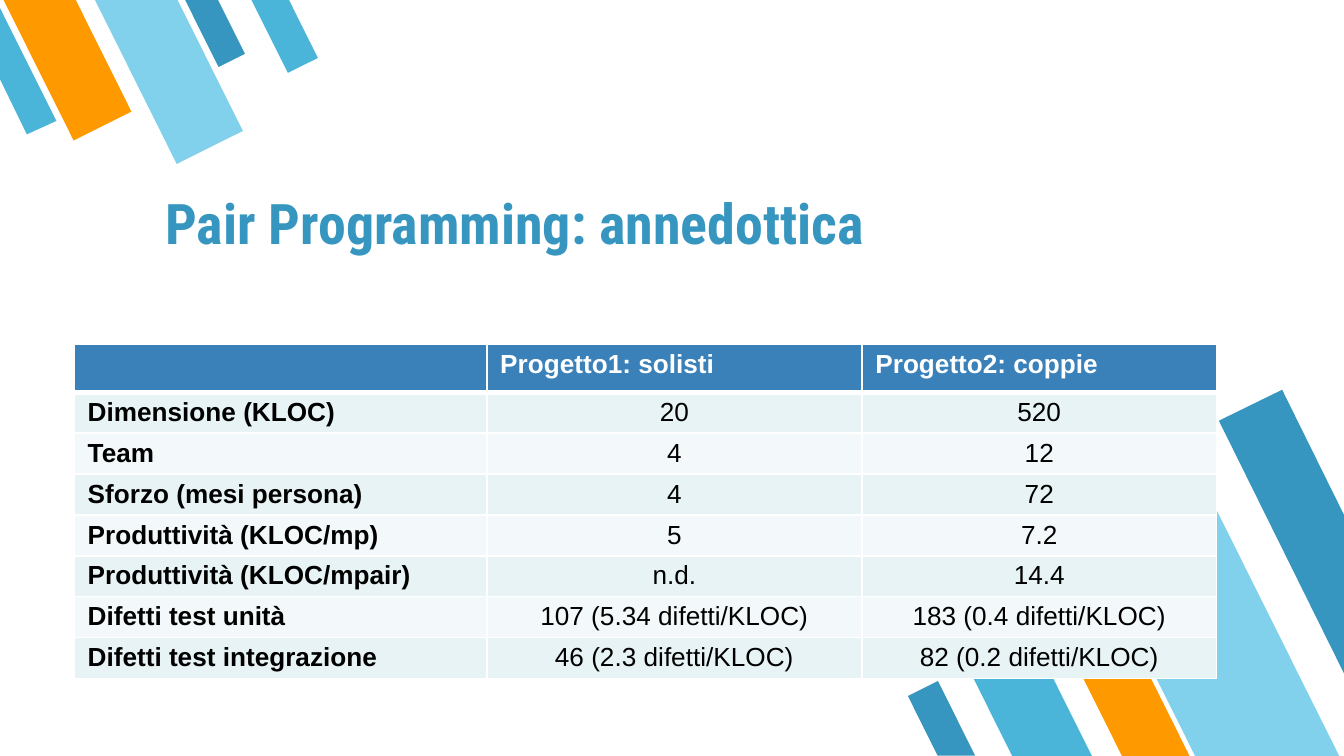
from pptx import Presentation
from pptx.dml.color import RGBColor
from pptx.enum import shapes, text
from pptx.oxml import ns, parse_xml
from pptx.util import Pt

HUES = {
    "blue": "3796BF", "cyan": "4BB5D9", "sky": "81D1EC", "gold": "FF9900",
    "head": "3A81BA", "odd": "E7F3F4", "even": "F3F9FA",
    "white": "FFFFFF", "black": "000000",
}
BARS = [
    ("cyan", 527.8, 324, 38.2, 95, 153.5),
    ("sky", 614.2, 258.5, 69.1, 172.1, 153.5),
    ("gold", 589, 337, 32.4, 79.9, 153.5),
    ("blue", 495.4, 366.5, 18, 44.6, 153.5),
    ("blue", 107.3, -5.8, 15.8, 40.3, 333.5),
    ("gold", 18.7, -13, 34.6, 85, 333.5),
    ("sky", 70.6, -14.4, 39.6, 98.6, 333.5),
    ("cyan", 143.3, -7.2, 18, 44.6, 333.5),
]
EDGES = [
    ("blue", [(686.9, 208.8), (653, 225.4), (720, 360.7), (720, 275.8)]),
    ("cyan", [(14.4, 72), (30.2, 64.8), (0, 4.3), (0, 42.5)]),
]
WIDTHS = [221, 201, 190]
ROWS = [
    ("", "Progetto1: solisti", "Progetto2: coppie"),
    ("Dimensione (KLOC)", "20", "520"),
    ("Team", "4", "12"),
    ("Sforzo (mesi persona)", "4", "72"),
    ("Produttività (KLOC/mp)", "5", "7.2"),
    ("Produttività (KLOC/mpair)", "n.d.", "14.4"),
    ("Difetti test unità", "107 (5.34 difetti/KLOC)", "183 (0.4 difetti/KLOC)"),
    ("Difetti test integrazione", "46 (2.3 difetti/KLOC)", "82 (0.2 difetti/KLOC)"),
]


def hue(name):
    """Return the named colour."""
    return RGBColor.from_string(HUES[name])


def paint(shape, name):
    """Fill a shape flatly, with no line or shadow."""
    shape.fill.solid()
    shape.fill.fore_color.rgb = hue(name)
    shape.line.fill.background()
    shape.shadow.inherit = False


def add_bar(slide, name, x, y, w, h, turn):
    """Add a mirrored, slanted bar."""
    kind = shapes.MSO_SHAPE.FLOWCHART_MANUAL_INPUT
    bar = slide.shapes.add_shape(kind, Pt(x), Pt(y), Pt(w), Pt(h))
    bar.rotation = turn
    bar.element.spPr.find(ns.qn("a:xfrm")).set("flipH", "1")
    paint(bar, name)


def add_edge(slide, name, spots):
    """Add a bar that is cut off by the slide edge."""
    first, *rest = [(Pt(x), Pt(y)) for x, y in spots]
    pen = slide.shapes.build_freeform(*first, scale=1)
    pen.add_line_segments(rest, close=True)
    paint(pen.convert_to_shape(), name)


def add_run(para, words, size, face, name, bold):
    """Add one formatted run to a paragraph."""
    run = para.add_run()
    run.text = words
    font = run.font
    font.size, font.name, font.bold = Pt(size), face, bold
    font.color.rgb = hue(name)


def set_title(slide, words):
    """Place the title and write its text."""
    title = slide.shapes.title
    title.left, title.top = Pt(81.4), Pt(90.7)
    title.width, title.height = Pt(453.6), Pt(53.3)
    frame = title.text_frame
    frame.word_wrap = True
    frame.auto_size = text.MSO_AUTO_SIZE.NONE
    frame.vertical_anchor = text.MSO_ANCHOR.BOTTOM
    frame.margin_left = frame.margin_right = Pt(7.2)
    frame.margin_top = frame.margin_bottom = Pt(7.2)
    para = frame.paragraphs[0]
    para.alignment = text.PP_ALIGN.LEFT
    add_run(para, words, 30, "Roboto Condensed", "blue", True)


def set_rules(cell, row):
    """Draw white cell borders, thick below the header."""
    wide = {"T": 3 if row == 1 else 1, "B": 3 if row == 0 else 1}
    props = cell._tc.get_or_add_tcPr()
    for side in "LRTB":
        props.append(parse_xml(
            f'<a:ln{side} {ns.nsdecls("a")} w="{Pt(wide.get(side, 1))}">'
            f'<a:solidFill><a:srgbClr val="{HUES["white"]}"/></a:solidFill>'
            f'</a:ln{side}>'))


def set_cell(cell, words, row, col):
    """Write and format one table cell."""
    head = row == 0
    cell.margin_left = cell.margin_right = Pt(7.2)
    cell.margin_top = cell.margin_bottom = Pt(2.88)
    set_rules(cell, row)
    cell.fill.solid()
    cell.fill.fore_color.rgb = hue("head" if head else "odd" if row % 2 else "even")
    para = cell.text_frame.paragraphs[0]
    if not head and col:
        para.alignment = text.PP_ALIGN.CENTER
    name = "white" if head else "black"
    add_run(para, words, 14, "Arial", name, head or col == 0)


def add_grid(slide):
    """Add the table that compares the two projects."""
    high = [25] + [21.9] * (len(ROWS) - 1)
    grid = slide.shapes.add_table(
        len(ROWS), len(WIDTHS), Pt(39.8), Pt(184.3),
        Pt(sum(WIDTHS)), Pt(sum(high))).table
    for col, width in zip(grid.columns, WIDTHS):
        col.width = Pt(width)
    for i, line in enumerate(ROWS):
        grid.rows[i].height = Pt(high[i])
        for j, words in enumerate(line):
            set_cell(grid.cell(i, j), words, i, j)


def main():
    """Build the slide and save it."""
    deck = Presentation()
    deck.slide_width, deck.slide_height = Pt(720), Pt(405)
    slide = deck.slides.add_slide(deck.slide_layouts[5])
    for bar in BARS:
        add_bar(slide, *bar)
    for edge in EDGES:
        add_edge(slide, *edge)
    set_title(slide, "Pair Programming: annedottica")
    add_grid(slide)
    deck.save("out.pptx")


if __name__ == "__main__":
    main()
